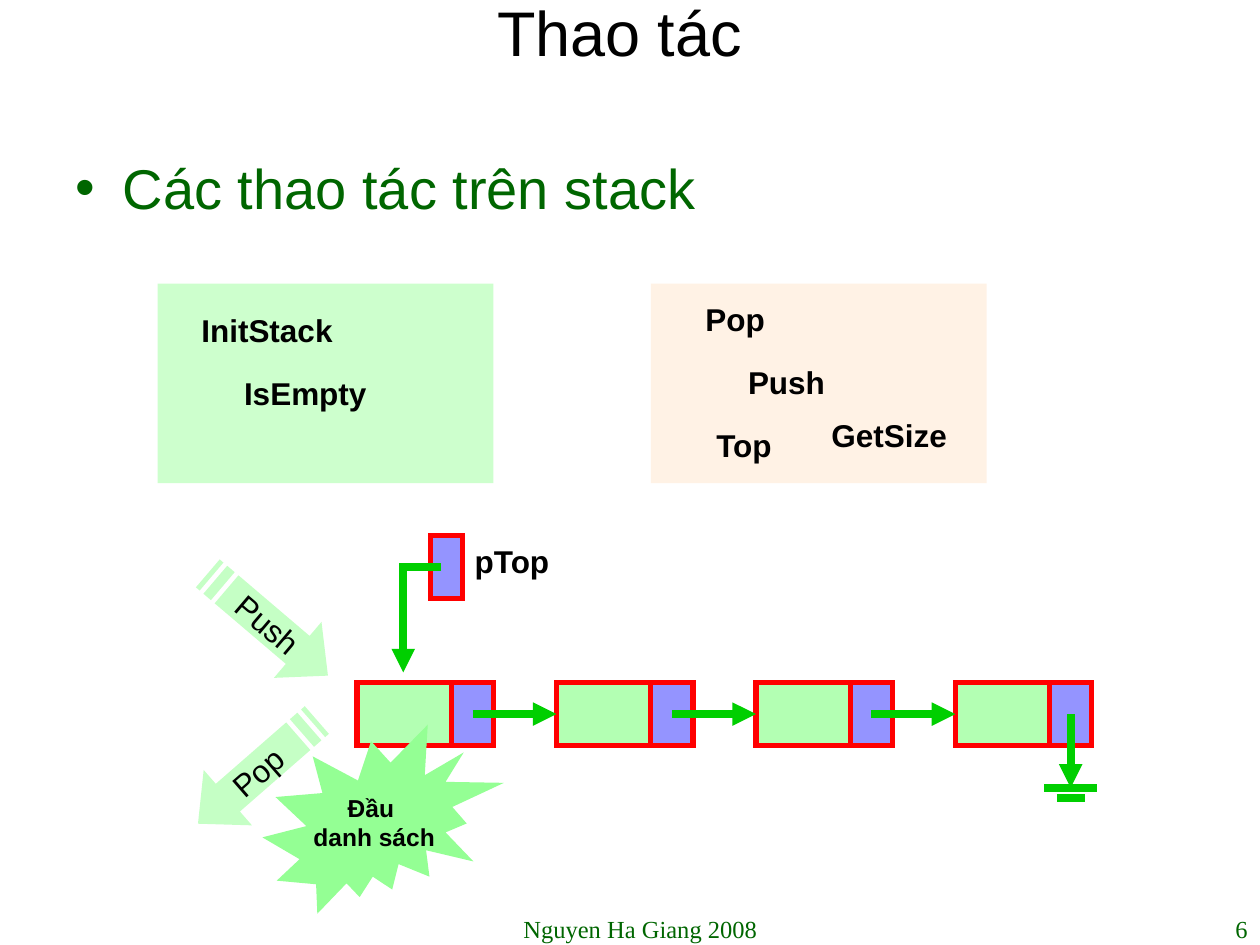
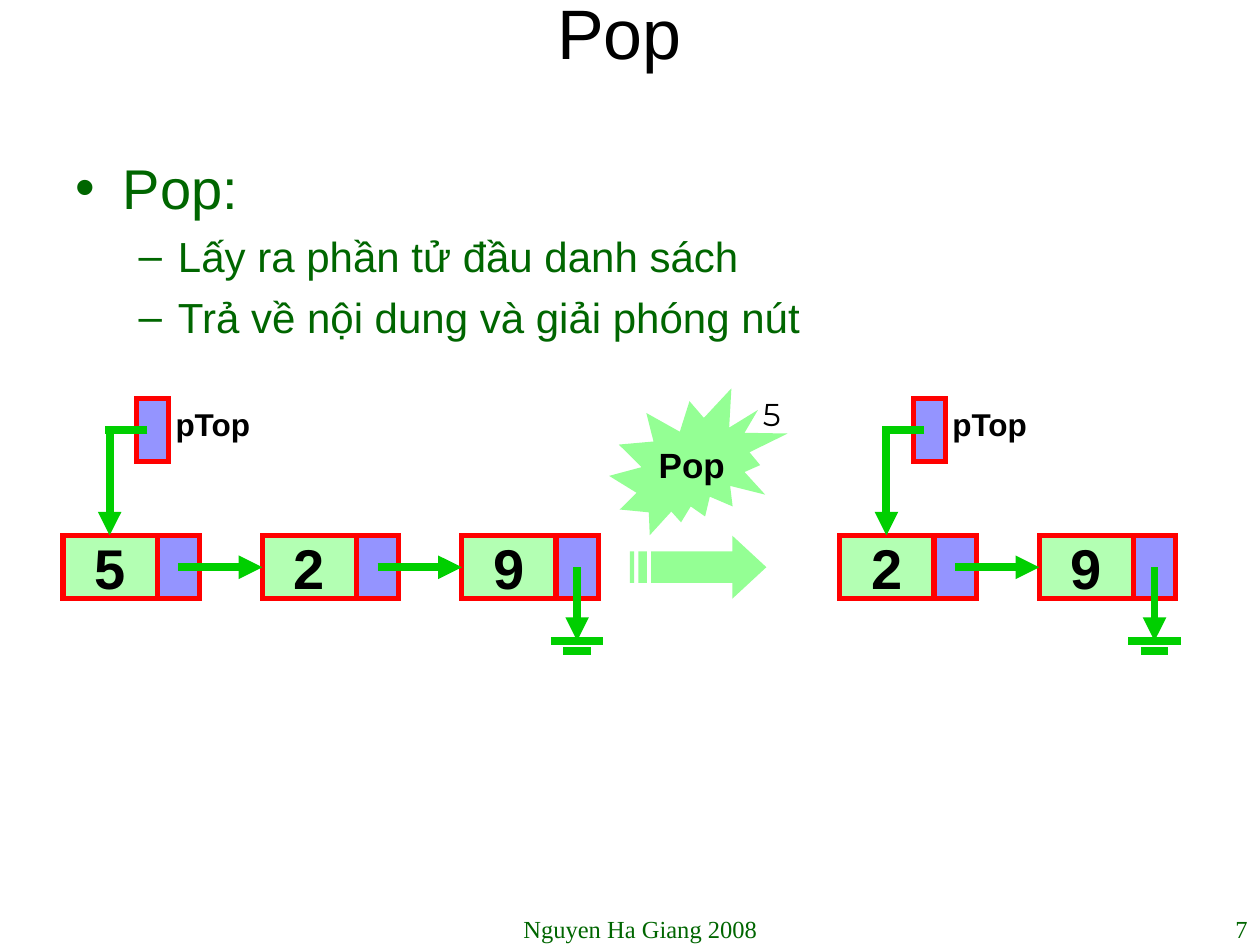
from dataclasses import dataclass

from lxml.etree import SubElement
from pptx import Presentation
from pptx.dml.color import RGBColor
from pptx.enum.shapes import MSO_CONNECTOR, MSO_SHAPE
from pptx.enum.text import MSO_ANCHOR, MSO_AUTO_SIZE, PP_ALIGN
from pptx.oxml.ns import qn
from pptx.util import Cm, Pt


@dataclass(frozen=True)
class Theme:
    """Colours, fonts and type sizes of the deck."""
    ink: str = "000000"
    green: str = "006600"
    mint: str = "94FF94"
    peach: str = "FFCC99"
    blue: str = "0000FF"
    red: str = "FF0000"
    link: str = "00CF00"
    sans: str = "Arial"
    serif: str = "Times New Roman"
    thin: str = "Montserrat"
    heads: tuple = (36, 40)
    list: tuple = (32, 24)
    space: tuple = (8, 6)
    bursts: tuple = (14, 20)
    value: int = 32
    label: int = 18
    foot: int = 14


LOOK = Theme()
WIDE, DEEP, LINK, PITCH = 1.9, 1.27, 0.85, 4.02
PORT = WIDE + LINK / 2
FOOT = "Nguyen Ha Giang 2008"


def apply(item, vals):
    """Set each attribute named in vals."""
    for name, val in vals.items():
        setattr(item, name, val)


def style(part, size, color=LOOK.ink, face=LOOK.sans, bold=False):
    """Format the font of a run."""
    apply(part.font, {"size": Pt(size), "name": face, "bold": bold})
    part.font.color.rgb = RGBColor.from_string(color)


def write(frame, lines, size, align=PP_ALIGN.CENTER, **font):
    """Fill a text frame with aligned lines."""
    for i, text in enumerate(lines):
        para = frame.add_paragraph() if i else frame.paragraphs[0]
        para.alignment = align
        run = para.add_run()
        run.text = text
        style(run, size, **font)


def inner(shape, lines, size, bold=True):
    """Centre unwrapped text in a shape."""
    frame = shape.text_frame
    apply(frame, {"word_wrap": False, "vertical_anchor": MSO_ANCHOR.MIDDLE})
    write(frame, lines, size, bold=bold)


def paint(shape, color, alpha=100, edge=None):
    """Give a shape its fill, opacity and outline."""
    shape.shadow.inherit = False
    shape.fill.solid()
    shape.fill.fore_color.rgb = RGBColor.from_string(color)
    if alpha < 100:
        tone = shape.element.find(".//" + qn("a:srgbClr"))
        SubElement(tone, qn("a:alpha"), val=str(alpha * 1000))
    if edge:
        shape.line.color.rgb = RGBColor.from_string(edge)
        shape.line.width = Pt(3)
        SubElement(shape.element.spPr.find(qn("a:ln")), qn("a:miter"), lim="800000")
    else:
        shape.line.fill.background()


def block(slide, box, color, alpha=100, edge=None, kind=MSO_SHAPE.RECTANGLE):
    """Add a painted preset shape."""
    shape = slide.shapes.add_shape(kind, *map(Cm, box))
    paint(shape, color, alpha, edge)
    return shape


def burst(slide, box, lines, size):
    """Add a star burst with bold text."""
    inner(block(slide, box, LOOK.mint, kind=MSO_SHAPE.EXPLOSION2), lines, size)


def label(slide, x, y, wide, word):
    """Add a bold one-line label."""
    frame = slide.shapes.add_textbox(*map(Cm, (x, y, wide, 1.02))).text_frame
    apply(frame, {"word_wrap": False, "auto_size": MSO_AUTO_SIZE.SHAPE_TO_FIT_TEXT})
    write(frame, [word], LOOK.label, PP_ALIGN.LEFT, bold=True)


def line(slide, x1, y1, x2, y2, tip=False):
    """Add a thick link line, with an arrowhead if tip is set."""
    wire = slide.shapes.add_connector(MSO_CONNECTOR.STRAIGHT, *map(Cm, (x1, y1, x2, y2)))
    wire.line.color.rgb = RGBColor.from_string(LOOK.link)
    wire.line.width = Pt(4.5)
    props = wire.element.spPr
    if tip:
        SubElement(props.find(qn("a:ln")), qn("a:tailEnd"), type="triangle")
    SubElement(props, qn("a:effectLst"))


def chain(slide, x, y, vals):
    """Draw a linked list that ends in a ground sign."""
    mid = y + DEEP / 2
    lefts = [x + i * PITCH for i in range(len(vals))]
    for left, val in zip(lefts, vals):
        cell = block(slide, (left, y, WIDE, DEEP), LOOK.mint, 70, LOOK.red)
        if val:
            inner(cell, [val], LOOK.value)
        block(slide, (left + WIDE, y, LINK, DEEP), LOOK.blue, 42, LOOK.red)
    for left in lefts[:-1]:
        line(slide, left + PORT, mid, left + PITCH, mid, True)
    end = lefts[-1] + PORT
    line(slide, end, mid, end, y + 2.12, True)
    for half, drop in ((0.53, 2.12), (0.28, 2.33)):
        line(slide, end - half, y + drop, end + half, y + drop)


def top(slide, x, y, gap):
    """Draw the pTop pointer and its bent arrow."""
    mid = y + DEEP / 2
    block(slide, (x, y, 0.64, DEEP), LOOK.blue, 42, LOOK.red)
    line(slide, x + 0.21, mid, x - 0.64, mid)
    line(slide, x - 0.55, mid, x - 0.55, mid + 2.12, True)
    label(slide, x + gap, y, 2.06, "pTop")


def arrow(slide, box, alpha=100, turn=0, flip=False, word=None):
    """Draw a striped arrow, turned and mirrored at will."""
    x, y, wide, high = box
    neck = 1 - 0.54 * high / wide
    bars = [[(a, 0.25), (b, 0.25), (b, 0.75), (a, 0.75)]
            for a, b in ((0, 1 / 32), (1 / 16, 1 / 8))]
    body = [(5 / 32, 0.25), (neck, 0.25), (neck, 0), (1, 0.5),
            (neck, 1), (neck, 0.75), (5 / 32, 0.75)]
    pen = None
    for loop in [body] + bars:
        spots = [(Cm(x + wide * (1 - u if flip else u)), Cm(y + high * v))
                 for u, v in loop]
        if pen:
            pen.move_to(*spots[0])
        else:
            pen = slide.shapes.build_freeform(*spots[0])
        pen.add_line_segments(spots[1:], close=True)
    shape = pen.convert_to_shape()
    paint(shape, LOOK.mint, alpha)
    shape.rotation = turn
    if word:
        inner(shape, [word], LOOK.label, bold=False)


def digit(slide, x, y, text):
    """Add a thin digit with outlined glyphs."""
    shape = slide.shapes.add_textbox(*map(Cm, (x, y, 1.06, 1.5)))
    shape.text_frame.word_wrap = False
    write(shape.text_frame, [text], LOOK.label, PP_ALIGN.LEFT, face=LOOK.thin)
    form = shape.element.find(".//" + qn("a:rPr"))
    edge = SubElement(form, qn("a:ln"), w=str(Pt(0.75)))
    form.insert(0, edge)
    SubElement(SubElement(edge, qn("a:solidFill")), qn("a:srgbClr"), val=LOOK.ink)


def place(holder, box):
    """Move a placeholder and stop it from shrinking text."""
    apply(holder, dict(zip(("left", "top", "width", "height"), map(Cm, box))))
    holder.text_frame.auto_size = MSO_AUTO_SIZE.NONE
    return holder.text_frame


def page(deck, title, size, items, num):
    """Add a slide with its title, list and footer."""
    slide = deck.slides.add_slide(deck.slide_layouts[1])
    frame = place(slide.shapes.title, (1.06, 0, 22.86, 1.27))
    frame.vertical_anchor = MSO_ANCHOR.MIDDLE
    write(frame, [title], size)
    frame = place(slide.placeholders[1], (1.27, 2.96, 22.86, 14.61))
    for i, (level, text) in enumerate(items):
        para = frame.add_paragraph() if i else frame.paragraphs[0]
        apply(para, {"level": level, "space_before": Pt(LOOK.space[level])})
        run = para.add_run()
        run.text = text
        style(run, LOOK.list[level], LOOK.green)
    for x, wide, text, align in ((8.89, 8.04, FOOT, PP_ALIGN.CENTER),
                                 (19.47, 5.93, num, PP_ALIGN.RIGHT)):
        frame = slide.shapes.add_textbox(*map(Cm, (x, 18.3, wide, 0.69))).text_frame
        frame.word_wrap = True
        write(frame, [text], LOOK.foot, align, color=LOOK.green, face=LOOK.serif)
    return slide


def tasks(deck):
    """Build the slide on stack operations."""
    slide = page(deck, "Thao tác", LOOK.heads[0], [(0, "Các thao tác trên stack")], "6")
    block(slide, (3.18, 5.72, 6.77, 4.02), LOOK.mint, 46)
    block(slide, (13.12, 5.72, 6.77, 4.02), LOOK.peach, 25)
    for spot in ((3.81, 6.14, 3.15, "InitStack"), (4.67, 7.41, 2.97, "IsEmpty"),
                 (13.97, 5.93, 1.7, "Pop"), (14.83, 7.2, 2.06, "Push"),
                 (14.19, 8.47, 1.68, "Top"), (16.51, 8.26, 2.95, "GetSize")):
        label(slide, *spot)
    chain(slide, 7.2, 13.76, [""] * 4)
    top(slide, 8.68, 10.8, 0.64)
    arrow(slide, (3.81, 11.85, 3.18, 1.48), 54, 40.4, word="Push")
    arrow(slide, (3.6, 14.82, 3.18, 1.48), 54, 318.9, True, "Pop")
    burst(slide, (5.29, 14.61, 4.87, 3.81), ["Đầu ", "danh sách"], LOOK.bursts[0])


def pop(deck):
    """Build the slide on taking the first node."""
    items = [(0, "Pop:"), (1, "Lấy ra phần tử đầu danh sách"),
             (1, "Trả về nội dung và giải phóng nút")]
    slide = page(deck, "Pop", LOOK.heads[1], items, "7")
    for x, vals in ((1.27, "529"), (16.93, "29")):
        chain(slide, x, 10.8, vals)
        top(slide, x + 1.49, 8.04, 0.53)
    burst(slide, (12.28, 7.83, 3.6, 2.96), ["Pop"], LOOK.bursts[1])
    arrow(slide, (12.7, 10.8, 2.75, 1.27))
    digit(slide, 15.13, 7.83, "5")


def main():
    """Build the deck and save it."""
    deck = Presentation()
    apply(deck, {"slide_width": Cm(25.4), "slide_height": Cm(19.05)})
    tasks(deck)
    pop(deck)
    deck.save("out.pptx")


if __name__ == "__main__":
    main()
